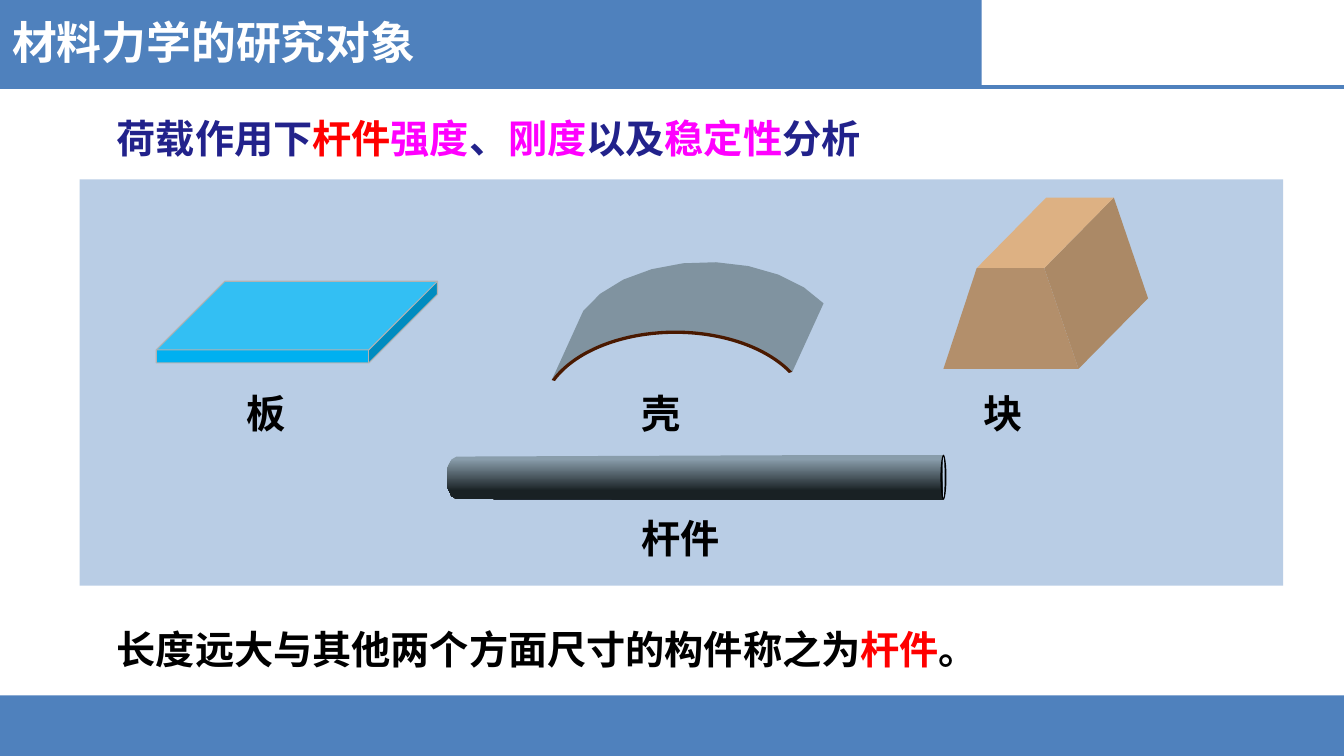
from math import cos, radians, sin
from lxml.etree import SubElement as Sub
from pptx import Presentation
from pptx.dml.color import RGBColor as RGB
from pptx.enum.shapes import MSO_CONNECTOR as Conn, MSO_SHAPE as Kind
from pptx.enum.text import MSO_ANCHOR as Anchor, PP_ALIGN as Align
from pptx.oxml.ns import qn
from pptx.util import Inches, Pt

FONT = "Noto Sans CJK SC"
CELL = Inches(0.1)
COLS, ROWS = 133.33, 75
HEX = {
    "bar": "4F81BD", "panel": "B9CDE5", "white": "FFFFFF", "black": "000000",
    "navy": "22228B", "red": "FF0000", "pink": "FF00FF",
    "plate": "00B0F0", "edge": "B2B2B2", "shell": "8093A0", "rim": "4A1900",
    "front": "B38F6B", "top": "DDB183", "side": "AB8966",
    "shine": "899DAB", "shade": "192124",
}


def tint(name):
    """Return a named colour."""
    return RGB.from_string(HEX[name])


def grid(*cells):
    """Turn grid cells into slide lengths."""
    return [round(n * CELL) for n in cells]


def paint(shape, fill, line=None):
    """Give a shape a flat fill and an optional thin outline."""
    shape.shadow.inherit = False
    shape.fill.solid()
    shape.fill.fore_color.rgb = tint(fill)
    if line:
        shape.line.color.rgb = tint(line)
        shape.line.width = Pt(0.75)
    else:
        shape.line.fill.background()
    return shape


def block(slide, kind, box, fill, line=None, bends=()):
    """Add a preset shape on the grid."""
    shape = slide.shapes.add_shape(kind, *grid(*box))
    for i, bend in enumerate(bends):
        shape.adjustments[i] = bend
    return paint(shape, fill, line)


def outline(slide, spots, fill):
    """Add a closed outline through grid spots."""
    spots = [grid(*spot) for spot in spots]
    form = slide.shapes.build_freeform(*spots[0], scale=1.0)
    form.add_line_segments(spots[1:], close=True)
    return paint(form.convert_to_shape(), fill)


def arc(mid, wide, high, start, stop, step):
    """List the spots along an elliptic arc, in degrees."""
    return [(mid[0] + wide * cos(radians(a)), mid[1] - high * sin(radians(a)))
            for a in range(start, stop + 1, step)]


def shift(spots, move):
    """Move spots by one offset."""
    return [(x + move[0], y + move[1]) for x, y in spots]


def write(frame, parts, size, space=1.0):
    """Fill a frame with one bold line of coloured parts."""
    para = frame.paragraphs[0]
    para.alignment = Align.LEFT
    para.line_spacing = space
    font = para.font
    font.size, font.bold = Pt(size), True
    font.color.rgb = tint(parts[0][1])
    font.name = FONT
    Sub(para._p.pPr.find(qn("a:defRPr")), qn("a:ea"), typeface=FONT)
    for words, ink in parts:
        run = para.add_run()
        run.text = words
        if len(parts) > 1:
            run.font.color.rgb = tint(ink)


def label(slide, box, *parts):
    """Add a text box on the grid."""
    frame = slide.shapes.add_textbox(*grid(*box)).text_frame
    frame.word_wrap = True
    write(frame, parts, 28, 1.2)


def banner(slide, words):
    """Add the top and bottom bars, the rule and the title."""
    block(slide, Kind.RECTANGLE, (0, ROWS - 6, COLS, 6), "bar")
    block(slide, Kind.RECTANGLE, (0, -0.1, 97.4, 8.7), "bar")
    rule = slide.shapes.add_connector(Conn.STRAIGHT, *grid(0, 8.6, COLS, 8.6))
    rule.line.color.rgb = tint("bar")
    rule.line.width = Pt(3)
    Sub(rule._element.spPr, qn("a:effectLst"))
    title = slide.shapes.title
    title.left, title.top, title.width, title.height = grid(0.2, 1, 42.4, 6.4)
    frame = title.text_frame
    frame.word_wrap = False
    frame.vertical_anchor = Anchor.TOP
    write(frame, [(words, "white")], 32)
    slide.shapes.element.append(title.element)


def plate(slide):
    """Draw the flat plate."""
    block(slide, Kind.CUBE, (15.5, 27.9, 27.9, 8.1), "plate", "edge", [0.84])


def shell(slide):
    """Draw the curved shell and its front rim."""
    mid, wide, high = (67, 41), 13.4, 8.2
    near = arc(mid, wide, high, 30, 156, 14)
    far = shift(near, (3.1, -6.8))
    outline(slide, far + near[::-1], "shell")
    turn = 0.6
    block(slide, Kind.BLOCK_ARC,
          (mid[0] - wide, mid[1] - high, 2 * wide, 2 * high), "rim",
          bends=(195 * turn, 340.5 * turn, 0.02))


def wedge(slide):
    """Draw the solid block with its three seen faces."""
    face = [(93.6, 36.6), (96.9, 26.6), (103.6, 26.6), (107, 36.6)]
    back = shift(face, (6.9, -7))
    outline(slide, face[2:] + back[:1:-1], "side")
    outline(slide, face[1:3] + back[2:0:-1], "top")
    outline(slide, face, "front")


def rod(slide):
    """Draw the long hollow rod."""
    tail = arc((45.3, 47.4), 1, 2.1, 90, 270, 30)
    body = outline(slide, tail + [(93.6, 49.6), (93.6, 45.1)], "shade")
    body.fill.gradient()
    body.fill.gradient_angle = 270
    for stop, ink, place in zip(body.fill.gradient_stops,
                                ("shine", "shade"), (0.1, 0.8)):
        stop.color.rgb = tint(ink)
        stop.position = place
    block(slide, Kind.DONUT, (93.3, 45.1, 0.6, 4.5), "black", bends=[0.3])


def main():
    """Build and save the slide."""
    deck = Presentation()
    deck.slide_width, deck.slide_height = grid(COLS, ROWS)
    slide = deck.slides.add_slide(deck.slide_layouts[5])
    banner(slide, "材料力学的研究对象")
    block(slide, Kind.RECTANGLE, (7.9, 17.8, 119.4, 40.3), "panel")
    label(slide, (10.6, 9.9, 111.5, 6.7),
          ("荷载作用下", "navy"), ("杆件", "red"), ("强度", "pink"),
          ("、", "navy"), ("刚度", "pink"), ("以及", "navy"),
          ("稳定性", "pink"), ("分析", "navy"))
    for draw in (plate, shell, wedge, rod):
        draw(slide)
    for words, left, top in (("板", 23.45, 37.2), ("壳", 62.65, 37.2),
                             ("块", 96.6, 37.2), ("杆件", 62.65, 49.6)):
        label(slide, (left, top, 10, 6.2), (words, "black"))
    label(slide, (10.6, 60.6, 111.5, 6.7),
          ("长度远大与其他两个方面尺寸的构件称之为", "black"),
          ("杆件", "red"), ("。", "black"))
    deck.save("out.pptx")


if __name__ == "__main__":
    main()
